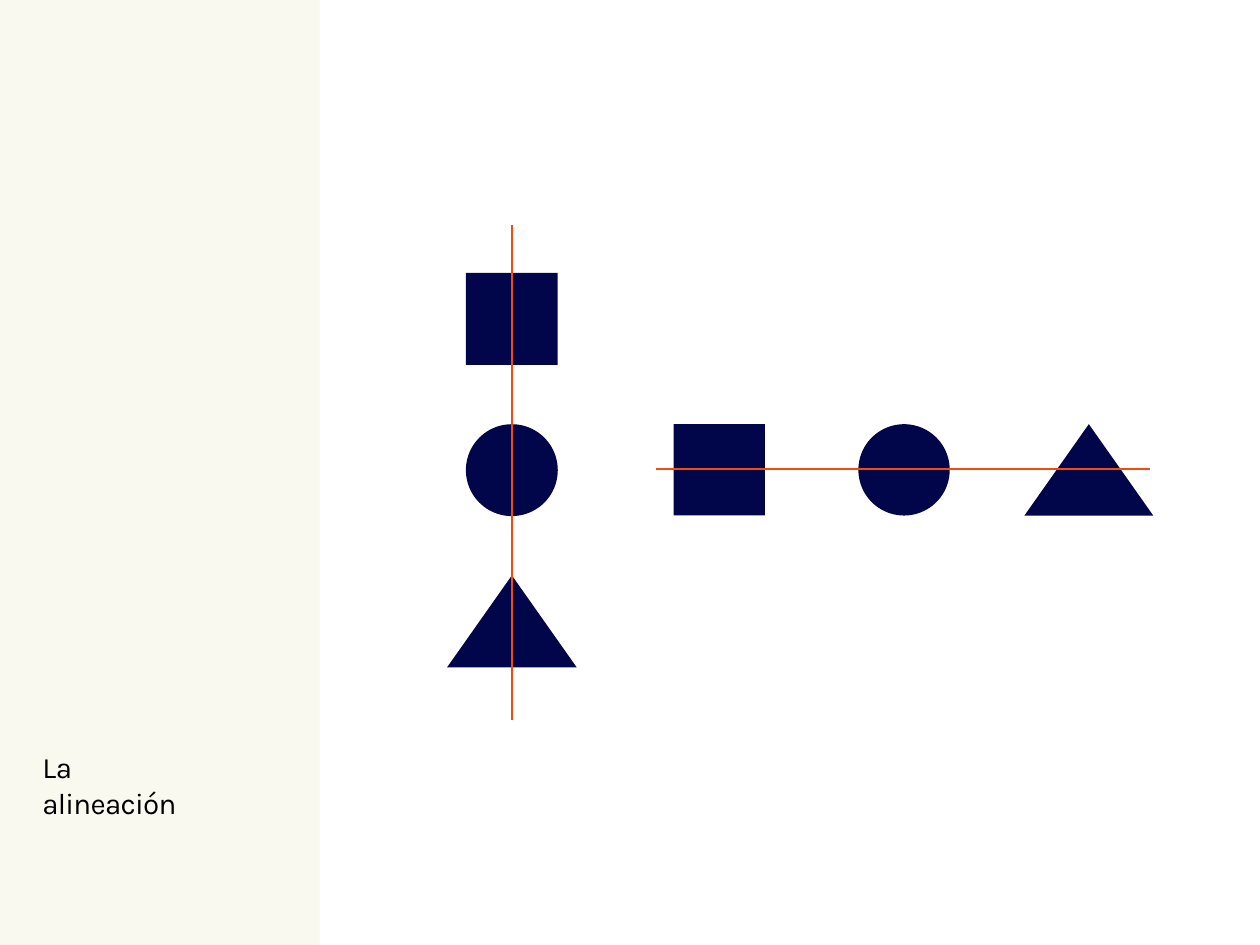
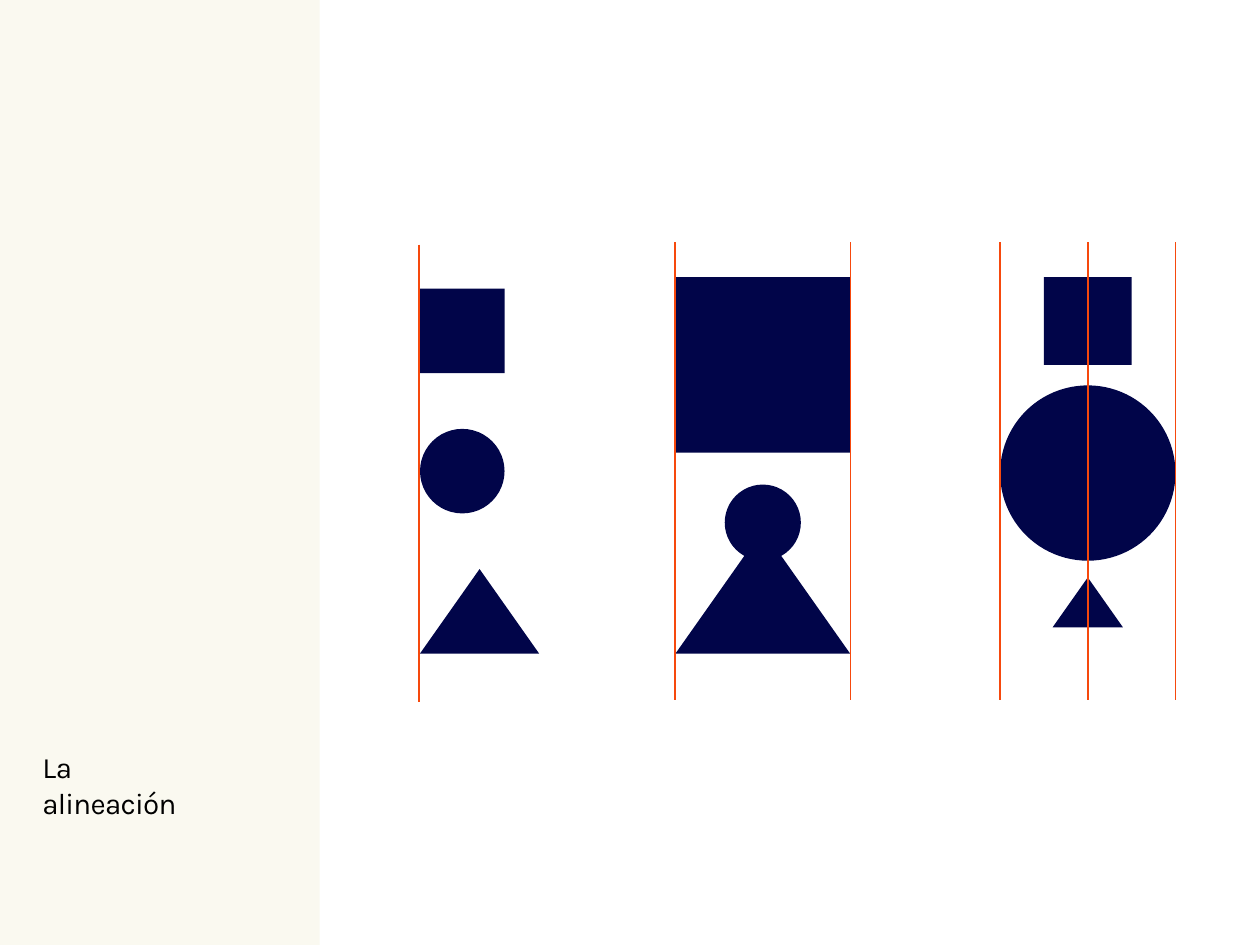
from dataclasses import dataclass

from lxml.etree import SubElement
from pptx import Presentation
from pptx.dml.color import RGBColor
from pptx.enum.shapes import MSO_CONNECTOR, MSO_SHAPE
from pptx.enum.text import MSO_ANCHOR, MSO_AUTO_SIZE, PP_ALIGN
from pptx.oxml.ns import qn
from pptx.util import Inches, Pt

WIDTH, HEIGHT = Inches(14.22), Inches(10.67)
COLUMNS, ROWS = 24, 18
PAPER, NAVY, ORANGE, BLACK = "FAF9F0", "010549", "F6490D", "000000"
BAND_COLUMNS = 6.09
TRIANGLE_RATIO = 1.41
SQUARE, CIRCLE, TRIANGLE = MSO_SHAPE.RECTANGLE, MSO_SHAPE.OVAL, MSO_SHAPE.ISOSCELES_TRIANGLE
KINDS = (SQUARE, CIRCLE, TRIANGLE)
TITLE_SPANS = (("La ", -0.3), ("alineación", -0.6))
TITLE_FRAME = {
    "margin_left": 0, "margin_top": 0, "margin_right": 0, "margin_bottom": 0,
    "word_wrap": True, "vertical_anchor": MSO_ANCHOR.TOP,
    "auto_size": MSO_AUTO_SIZE.SHAPE_TO_FIT_TEXT,
}
TITLE_PARA = {"alignment": PP_ALIGN.LEFT, "space_before": Pt(0.1)}
TITLE_FONT = {"name": "Karla", "size": Pt(24)}


@dataclass(frozen=True)
class Figure:
    kind: MSO_SHAPE
    left: float
    top: float
    size: float

    @property
    def width(self) -> float:
        return figure_width(self.kind, self.size)


@dataclass(frozen=True)
class Guide:
    left: float
    top: float
    right: float
    bottom: float
    weight: float


def column(count: float) -> int:
    return round(WIDTH * count / COLUMNS)


def row(count: float) -> int:
    return round(HEIGHT * count / ROWS)


def color(code: str) -> RGBColor:
    return RGBColor.from_string(code)


def set_all(target, values: dict) -> None:
    for name, value in values.items():
        setattr(target, name, value)


def figure_width(kind: MSO_SHAPE, size: float) -> float:
    return size * TRIANGLE_RATIO if kind == TRIANGLE else size


def centred(kind: MSO_SHAPE, centre: float, top: float, size: float) -> Figure:
    return Figure(kind, centre - figure_width(kind, size) / 2, top, size)


def upright(left: float, top: float, bottom: float, weight: float) -> Guide:
    return Guide(left, top, left, bottom, weight)


def add_box(page, kind: MSO_SHAPE, place: tuple, fill: str):
    left, top, width, height = place
    box = page.shapes.add_shape(kind, column(left), row(top), column(width), row(height))
    box.shadow.inherit = False
    box.fill.solid()
    box.fill.fore_color.rgb = color(fill)
    box.line.fill.background()
    return box


def add_figure(page, figure: Figure) -> None:
    add_box(page, figure.kind, (figure.left, figure.top, figure.width, figure.size), NAVY)


def add_guide(page, guide: Guide) -> None:
    line = page.shapes.add_connector(
        MSO_CONNECTOR.STRAIGHT,
        column(guide.left), row(guide.top), column(guide.right), row(guide.bottom),
    )
    line.line.color.rgb = color(ORANGE)
    line.line.width = Pt(guide.weight)
    SubElement(line.element.spPr, qn("a:effectLst"))


def add_title(page) -> None:
    title = page.shapes.title
    set_all(title, {"left": column(0.79), "top": row(14.27),
                    "width": column(3.17), "height": row(0.71)})
    set_all(title.text_frame, TITLE_FRAME)
    para = title.text_frame.paragraphs[0]
    set_all(para, TITLE_PARA)
    indent = para._p.get_or_add_pPr()
    indent.set("marL", str(Inches(0.01)))
    indent.set("indent", "0")
    for text, spacing in TITLE_SPANS:
        span = para.add_run()
        span.text = text
        set_all(span.font, TITLE_FONT)
        span.font.color.rgb = color(BLACK)
        span._r.get_or_add_rPr().set("spc", str(round(spacing * 100)))


def add_band(page) -> None:
    band = add_box(page, SQUARE, (0, 0, BAND_COLUMNS, ROWS), PAPER)
    band.element.nvSpPr.cNvPr.set("id", "90")
    page.slide_layout.shapes.element.insert(2, band.element)


def axis_parts() -> list:
    stack = [centred(kind, 9.75, 5.2 + 2.88 * step, 1.75) for step, kind in enumerate(KINDS)]
    line = [centred(kind, 13.7 + 3.52 * step, 8.08, 1.74) for step, kind in enumerate(KINDS)]
    return [*stack, upright(9.75, 4.28, 13.71, 1.58),
            *line, Guide(12.49, 8.94, 21.91, 8.94, 1.58)]


def edge_parts() -> list:
    half = 1.67
    full = 2 * half
    middle, right = 14.53, 20.72
    flush = [Figure(kind, 8, 5.5 + 2.67 * step, 1.61) for step, kind in enumerate(KINDS)]
    wide = [centred(SQUARE, middle, 5.28, full), centred(TRIANGLE, middle, 10.09, 2.36),
            centred(CIRCLE, middle, 9.23, 1.45)]
    round_group = [centred(SQUARE, right, 5.28, half), centred(TRIANGLE, right, 11, 0.95),
                   centred(CIRCLE, right, 7.34, full)]
    edges = (middle - half, middle + half, right - half, right, right + half)
    guides = [upright(edge, 4.61, 13.34, 1.46) for edge in edges]
    return [*flush, upright(7.98, 4.66, 13.38, 1.46), *wide, *round_group, *guides]


def main() -> None:
    deck = Presentation()
    set_all(deck, {"slide_width": WIDTH, "slide_height": HEIGHT})
    layout = deck.slide_layouts.get_by_name("Title Only")
    for number, parts in enumerate((axis_parts(), edge_parts())):
        page = deck.slides.add_slide(layout)
        if number == 0:
            add_band(page)
        add_title(page)
        for part in parts:
            if isinstance(part, Figure):
                add_figure(page, part)
            else:
                add_guide(page, part)
    deck.save("out.pptx")


if __name__ == "__main__":
    main()
